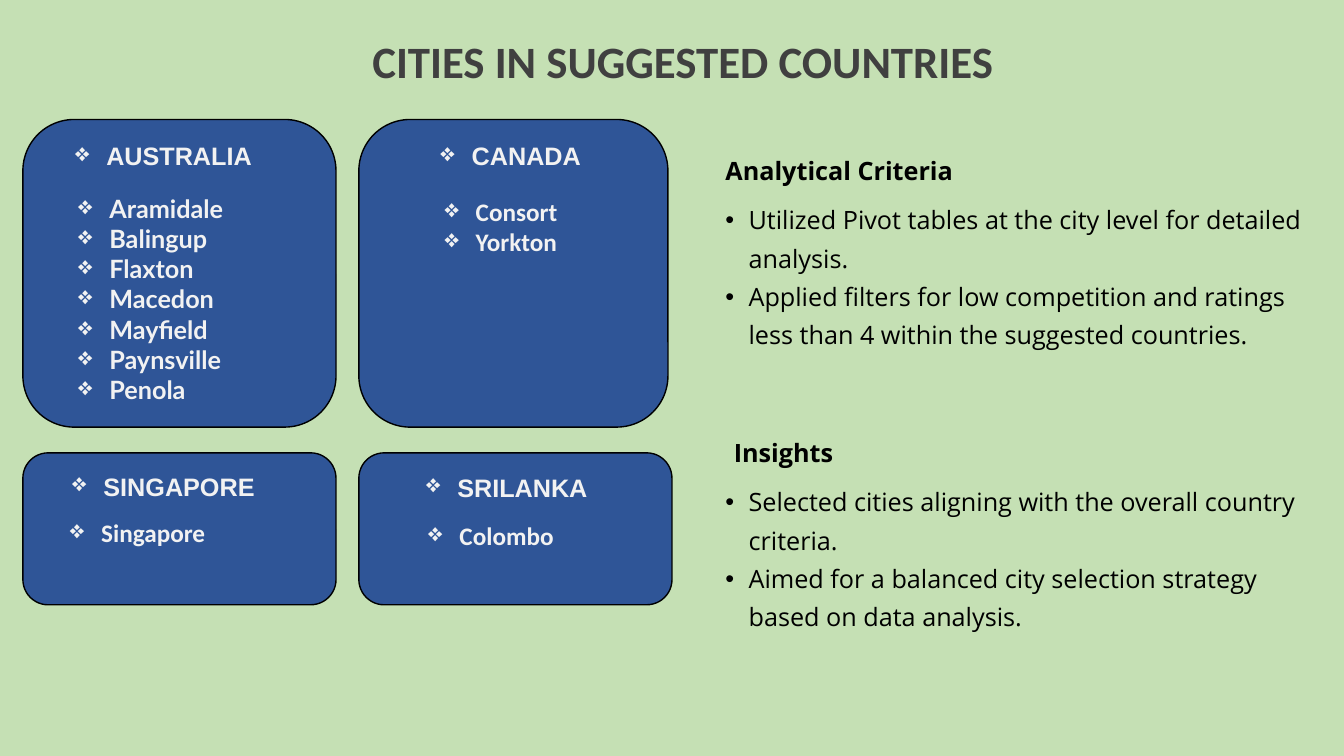
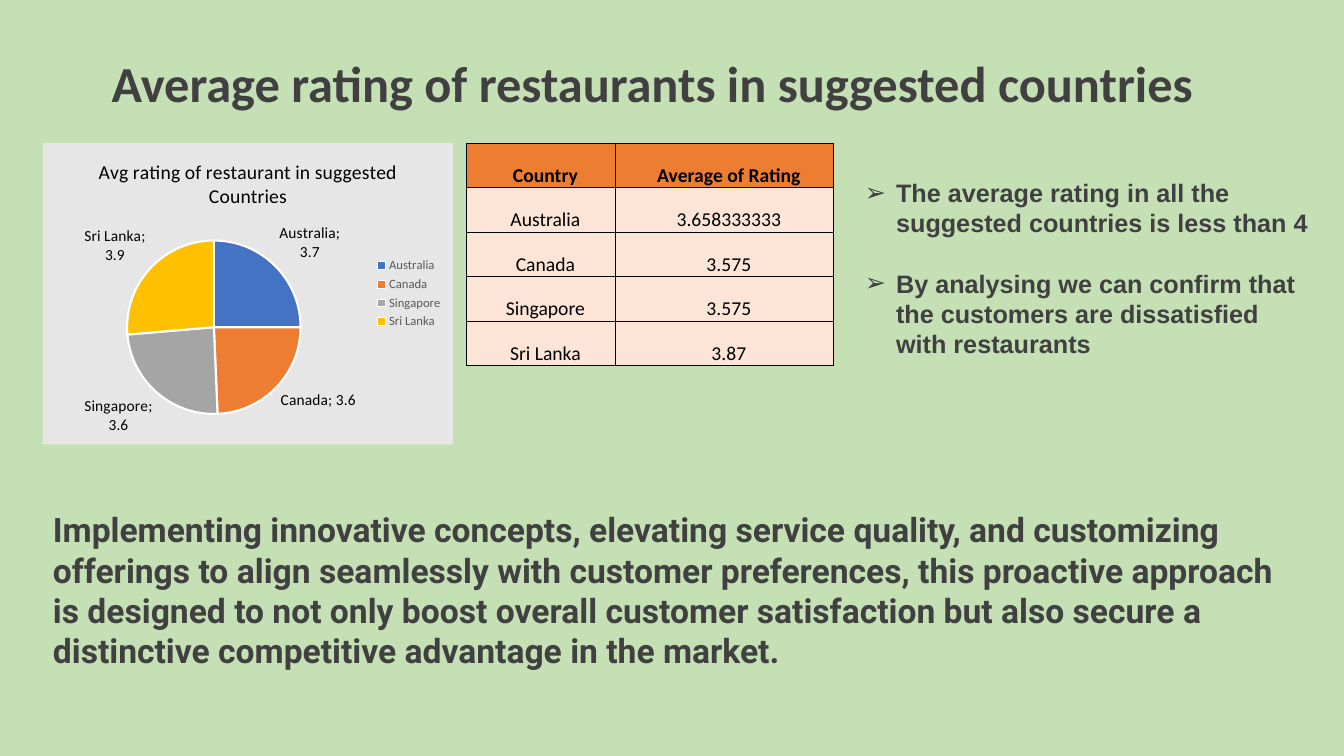
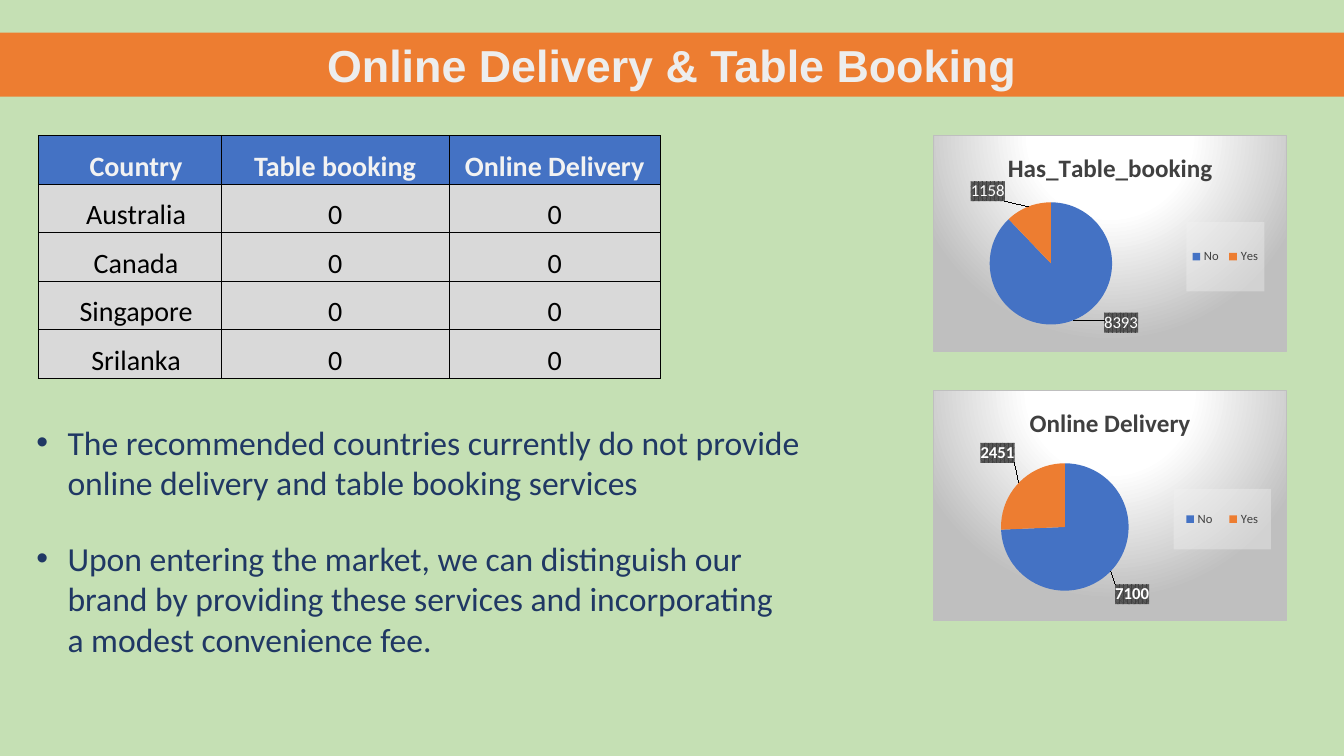
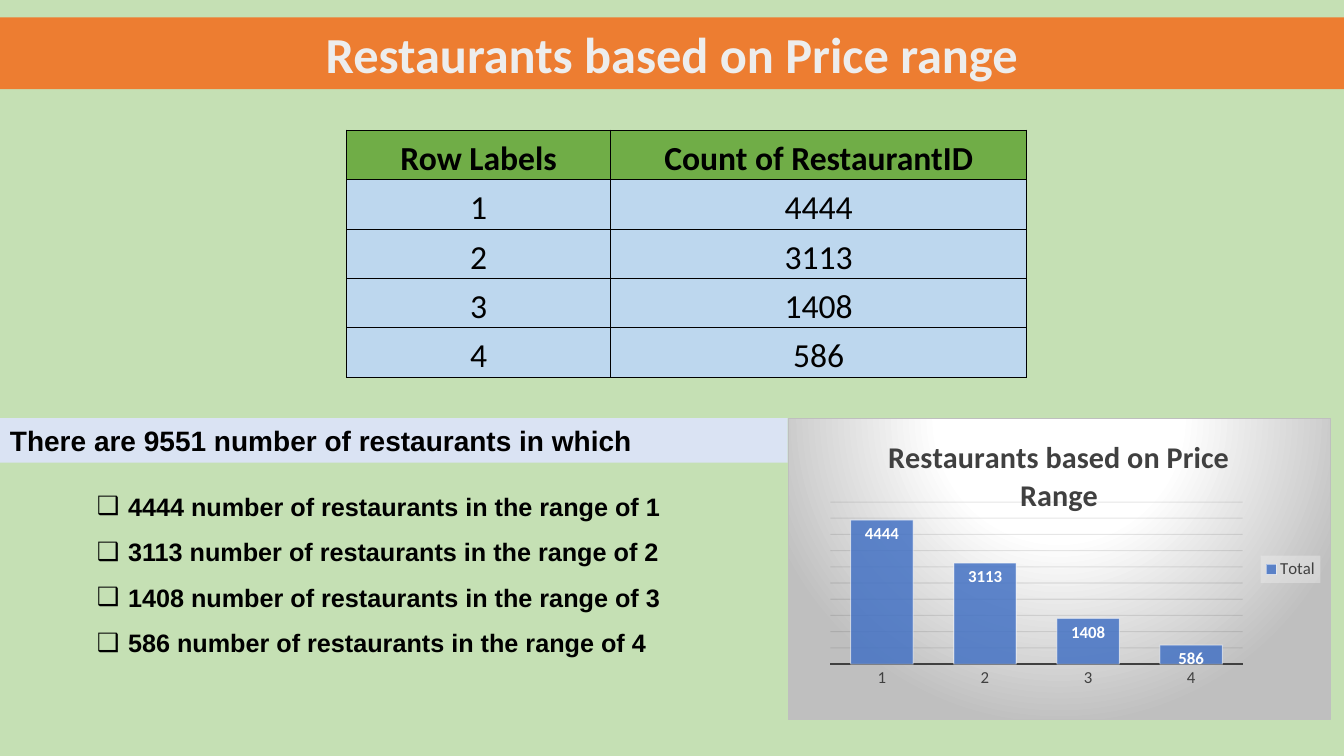
import dataclasses

import pptx
import pptx.chart.data
import pptx.dml.color
import pptx.enum.chart
import pptx.enum.shapes
import pptx.enum.text
import pptx.oxml
import pptx.oxml.ns
import pptx.util


@dataclasses.dataclass(frozen=True)
class Type:
    font: str
    size: float
    colour: str
    bold: bool = False


@dataclasses.dataclass(frozen=True)
class Theme:
    ground: str = "C5E0B4"
    band: str = "ED7D31"
    card: str = "2F5597"
    subband: str = "DAE3F3"
    black: str = "000000"
    dark: str = "404040"
    white: str = "FFFFFF"
    rule: str = "BFBFBF"
    chart_ground: str = "E7E6E6"
    blue: str = "4472C4"
    palette: tuple = ("4472C4", "ED7D31", "A5A5A5", "FFC000")
    plain_title: Type = Type("Calibri", 32, "404040", True)
    band_title: Type = Type("Calibri", 36, "EDEDED", True)
    card_head: Type = Type("Arial", 18, "F2F2F2", True)
    card_list: Type = Type("Calibri", 18, "F2F2F2", True)
    section_head: Type = Type("Open Sans", 18, "000000", True)
    section_list: Type = Type("Open Sans", 18, "000000")
    finding: Type = Type("Arial", 18, "404040", True)
    summary: Type = Type("Roboto", 24, "404040", True)
    advice: Type = Type("Calibri", 24, "203864")
    subhead: Type = Type("Arial", 20, "000000", True)
    count: Type = Type("Arial", 18, "000000", True)
    cell: Type = Type("Calibri", 14, "000000")
    chart: Type = Type("Calibri", 10, "000000")
    chart_title: Type = Type("Calibri", 18, "404040", True)
    chart_label: Type = Type("Calibri", 12, "FFFFFF", True)
    legend: Type = Type("Calibri", 9, "404040")


@dataclasses.dataclass(frozen=True)
class Area:
    left: int
    top: int
    width: int
    height: int

    def share(self, left, top, width, height):
        return Area(
            round(self.left + self.width * left / 100),
            round(self.top + self.height * top / 100),
            round(self.width * width / 100),
            round(self.height * height / 100),
        )

    def frame(self):
        return self.left, self.top, self.width, self.height


THEME = Theme()
SLIDE = Area(0, 0, pptx.util.Inches(13.33), pptx.util.Inches(7.5))
TITLE_CONTENT, TWO_CONTENT, COMPARISON = 1, 3, 4
INDENT = 0.31
restyle = dataclasses.replace


def rgb(colour):
    return pptx.dml.color.RGBColor.from_string(colour)


def xml(text):
    head, tail = text.split(">", 1)
    close = "/" if head.endswith("/") else ""
    head = head.rstrip("/")
    return pptx.oxml.parse_xml(f"{head} {pptx.oxml.ns.nsdecls('a', 'c')}{close}>{tail}")


def solid(colour, alpha=100):
    return (f'<a:solidFill><a:srgbClr val="{colour}"><a:alpha val="{alpha * 1000}"/>'
            "</a:srgbClr></a:solidFill>")


def set_font(font, style):
    font.name = style.font
    font.size = pptx.util.Pt(style.size)
    font.bold = style.bold
    font.color.rgb = rgb(style.colour)


def write(tf, lines, style, bullet=None, indent=INDENT, hang=INDENT, spacing=None, gap=0,
          align=pptx.enum.text.PP_ALIGN.LEFT, anchor=pptx.enum.text.MSO_ANCHOR.TOP):
    tf.text = "\n".join(lines)
    tf.word_wrap = True
    tf.auto_size = pptx.enum.text.MSO_AUTO_SIZE.NONE
    tf.vertical_anchor = anchor
    for i, p in enumerate(tf.paragraphs):
        pPr = p._p.get_or_add_pPr()
        pPr.set("marL", str(pptx.util.Inches(indent if bullet else 0)))
        pPr.set("indent", str(pptx.util.Inches(-hang if bullet else 0)))
        pPr.append(xml(f'<a:buChar char="{bullet}"/>' if bullet else "<a:buNone/>"))
        p.alignment = align
        p.space_before = pptx.util.Pt(gap if i else 0)
        if spacing:
            p.line_spacing = spacing
        for r in p.runs:
            set_font(r.font, style)


def fill_placeholder(ph, area, lines, style, **layout):
    ph.left, ph.top, ph.width, ph.height = area.frame()
    write(ph.text_frame, lines, style, **layout)


def text_box(s, area, lines, style, **layout):
    write(s.shapes.add_textbox(*area.frame()).text_frame, lines, style, **layout)


def panel(s, area, kind, fill, line=None):
    sp = s.shapes.add_shape(kind, *area.frame())
    sp.shadow.inherit = False
    sp.fill.solid()
    sp.fill.fore_color.rgb = rgb(fill)
    if line:
        sp.line.color.rgb = rgb(line)
        sp.line.width = pptx.util.Pt(1)
    else:
        sp.line.fill.background()
    return sp


def new_slide(prs, layout, title, area, style, fill, start=None):
    s = prs.slides.add_slide(prs.slide_layouts[layout])
    ph = s.shapes.title
    ph.fill.solid()
    ph.fill.fore_color.rgb = rgb(fill)
    aligns = pptx.enum.text.PP_ALIGN
    fill_placeholder(ph, area, [title], style,
                     align=aligns.LEFT if start else aligns.CENTER,
                     anchor=pptx.enum.text.MSO_ANCHOR.MIDDLE)
    if start:
        ph.text_frame.margin_left = area.share(0, 0, start, 0).width
    return s, list(s.placeholders)[1:]


def card(s, area, country, cities, head_at, list_at, list_style):
    panel(s, area, pptx.enum.shapes.MSO_SHAPE.ROUNDED_RECTANGLE, THEME.card, THEME.black)
    text_box(s, area.share(*head_at, 70, 13), [country], THEME.card_head, bullet="❖")
    text_box(s, area.share(*list_at, 70, 95 - list_at[1]), cities, list_style, bullet="❖")


def section(head, body, area, title, lines, head_left):
    fill_placeholder(head, area.share(head_left, 0, 90, 25), [title], THEME.section_head,
                     spacing=pptx.util.Pt(38.5))
    fill_placeholder(body, area.share(0, 28.8, 100, 71.2), lines, THEME.section_list,
                     bullet="•", indent=0.46, hang=0.23, spacing=pptx.util.Pt(27.4))


def table(s, area, shares, rows, head_fill, body_fill, head_style, body_style, shifted=()):
    tbl = s.shapes.add_table(len(rows), len(shares), *area.frame()).table
    for column, share in zip(tbl.columns, shares):
        column.width = round(area.width * share / 100)
    for row in tbl.rows:
        row.height = area.height // len(rows)
    for i, row in enumerate(rows):
        for j, value in enumerate(row):
            cell = tbl.cell(i, j)
            tcPr = cell._tc.get_or_add_tcPr()
            for side in "LRTB":
                tcPr.append(xml(f'<a:ln{side} w="6350">{solid(THEME.black)}</a:ln{side}>'))
            cell.fill.solid()
            cell.fill.fore_color.rgb = rgb(body_fill if i else head_fill)
            cell.text = value
            cell.vertical_anchor = pptx.enum.text.MSO_ANCHOR.BOTTOM
            style = body_style if i else head_style
            shift = style.size * 0.45 if j in shifted else 0
            cell.margin_left = pptx.util.Pt(0.72 + shift)
            cell.margin_right = cell.margin_top = pptx.util.Inches(0.01)
            cell.margin_bottom = 0
            p = cell.text_frame.paragraphs[0]
            p.alignment = pptx.enum.text.PP_ALIGN.CENTER
            set_font(p.runs[0].font, style)


def set_layout(parent, index, x, y, w=None, h=None, inner=False, edge=True):
    for old in parent.findall(pptx.oxml.ns.qn("c:layout")):
        parent.remove(old)
    settings = ['<c:layoutTarget val="inner"/>'] if inner else []
    if edge:
        settings += ['<c:xMode val="edge"/>', '<c:yMode val="edge"/>']
    sizes = (("x", x), ("y", y), ("w", w), ("h", h))
    settings += [f'<c:{k} val="{v / 100}"/>' for k, v in sizes if v is not None]
    parent.insert(index, xml(
        f"<c:layout><c:manualLayout>{''.join(settings)}</c:manualLayout></c:layout>"))


def spotlight():
    stops = "".join(f'<a:gs pos="{at * 1000}"><a:srgbClr val="{colour}"/></a:gs>'
                    for at, colour in ((0, THEME.white), (39, THEME.white), (100, THEME.rule)))
    return (f'<c:spPr><a:gradFill><a:gsLst>{stops}</a:gsLst><a:path path="circle">'
            '<a:fillToRect l="50000" t="-80000" r="50000" b="180000"/></a:path></a:gradFill>'
            f'<a:ln w="9525">{solid(THEME.rule)}</a:ln></c:spPr>')


def plain_ground():
    return f"<c:spPr>{solid(THEME.chart_ground)}<a:ln><a:noFill/></a:ln></c:spPr>"


def new_chart(s, area, kind, cats, name, values, title, title_style, ground, plot_at,
              legend_style, legend_at=None):
    data = pptx.chart.data.CategoryChartData()
    data.categories = cats
    data.add_series(name, values)
    chart = s.shapes.add_chart(kind, *area.frame(), data).chart
    set_font(chart.font, THEME.chart)
    chart.has_title = True
    chart.chart_title.text_frame.text = title
    set_font(chart.chart_title.text_frame.paragraphs[0].runs[0].font, title_style)
    chart.has_legend = True
    chart.legend.position = pptx.enum.chart.XL_LEGEND_POSITION.RIGHT
    chart.legend.include_in_layout = False
    set_font(chart.legend.font, legend_style)
    root = chart.element
    root.xpath("c:chart")[0].addnext(xml(ground))
    set_layout(root.xpath("c:chart/c:plotArea")[0], 0, *plot_at, inner=True)
    if legend_at:
        legend = root.xpath("c:chart/c:legend")[0]
        set_layout(legend, 1, *legend_at)
        legend.xpath("c:overlay")[0].addnext(xml(f"<c:spPr>{solid('F2F2F2', 39)}</c:spPr>"))
    return chart


def pie(s, area, cats, values, outline=None, **look):
    chart = new_chart(s, area, pptx.enum.chart.XL_CHART_TYPE.PIE, cats, "Series 1", values,
                      **look)
    chart.plots[0].vary_by_categories = True
    series = chart.plots[0].series[0]
    for i in range(len(cats)):
        fmt = series.points[i].format
        fmt.fill.solid()
        fmt.fill.fore_color.rgb = rgb(THEME.palette[i])
        if outline:
            fmt.line.color.rgb = rgb(outline)
            fmt.line.width = pptx.util.Pt(1.5)
        else:
            fmt.line.fill.background()
    return series


def yes_no_pie(s, area, title, values, plot_at, legend_at, nudges, bold):
    series = pie(s, area, ["No", "Yes"], values, title=title, title_style=THEME.chart_title,
                 ground=spotlight(), plot_at=plot_at, legend_style=THEME.legend,
                 legend_at=legend_at)
    for i, nudge in enumerate(nudges):
        label = series.points[i].data_label
        label.position = pptx.enum.chart.XL_LABEL_POSITION.OUTSIDE_END
        set_font(label.font, restyle(THEME.chart_label, bold=bold))
        dLbl = series._element.xpath(f"c:dLbls/c:dLbl[c:idx/@val='{i}']")[0]
        for old in dLbl.xpath("c:spPr"):
            dLbl.remove(old)
        set_layout(dLbl, 1, *nudge, edge=False)
        dLbl.insert(2, xml(
            '<c:spPr><a:pattFill prst="pct75"><a:fgClr><a:srgbClr val="404040"/></a:fgClr>'
            '<a:bgClr><a:srgbClr val="595959"/></a:bgClr></a:pattFill></c:spPr>'))


def rating_pie(s, area):
    series = pie(s, area, ["Australia", "Canada", "Singapore", "Sri Lanka"],
                 [3.7, 3.6, 3.6, 3.9], outline=THEME.white,
                 title="Avg rating of restaurant in suggested Countries",
                 title_style=restyle(THEME.chart, size=14), ground=plain_ground(),
                 plot_at=(11.8, 32.4, 59.8, 57.5),
                 legend_style=restyle(THEME.legend, colour="595959"))
    labels = series.data_labels
    labels.show_value = labels.show_category_name = True
    labels.number_format = "0.0"
    labels.number_format_is_linked = False
    labels.position = pptx.enum.chart.XL_LABEL_POSITION.OUTSIDE_END
    set_font(labels.font, restyle(THEME.chart, size=11))


def price_columns(s, area, cats, values):
    axis_style = restyle(THEME.legend, size=12)
    chart = new_chart(s, area, pptx.enum.chart.XL_CHART_TYPE.COLUMN_CLUSTERED, cats, "Total",
                      values, "Restaurants based on Price Range",
                      restyle(THEME.chart_title, size=21.6), spotlight(),
                      (7.8, 27.7, 76.1, 53.8), axis_style, (87.2, 45.5, 11, 9))
    plot = chart.plots[0]
    plot.gap_width = 65
    plot.vary_by_categories = False
    series = plot.series[0]
    series.format.fill.solid()
    series.format.fill.fore_color.rgb = rgb(THEME.blue)
    series.format.line.color.rgb = rgb(THEME.white)
    series.format.line.width = pptx.util.Pt(0.75)
    labels = series.data_labels
    labels.show_value = True
    labels.position = pptx.enum.chart.XL_LABEL_POSITION.INSIDE_END
    set_font(labels.font, THEME.chart_label)
    axis = chart.category_axis
    axis.major_tick_mark = pptx.enum.chart.XL_TICK_MARK.NONE
    set_font(axis.tick_labels.font, axis_style)
    axis.format.line.color.rgb = rgb(THEME.dark)
    axis.format.line.width = pptx.util.Pt(1.5)
    scale = chart.value_axis
    scale.visible = False
    scale.minimum_scale, scale.maximum_scale, scale.major_unit = 0, 5000, 500
    grid = scale.major_gridlines.format.line
    grid.color.rgb = rgb("0D0D0D")
    grid.width = pptx.util.Pt(0.75)
    for element, query, alpha in (
            (series._element, "c:spPr/a:solidFill/a:srgbClr", 85),
            (series._element, "c:spPr/a:ln/a:solidFill/a:srgbClr", 50),
            (chart.element, ".//c:majorGridlines//a:srgbClr", 10)):
        element.xpath(query)[0].append(xml(f'<a:alpha val="{alpha * 1000}"/>'))


def cities_slide(prs):
    s, (head1, list1, head2, list2) = new_slide(
        prs, COMPARISON, "CITIES IN SUGGESTED COUNTRIES", SLIDE.share(0, 3.7, 100, 8.5),
        THEME.plain_title, THEME.ground, start=27.7)
    lefts, tops, heights = (1.7, 26.7), (15.8, 59.9), (40.7, 20.1)
    australia = ["Aramidale", "Balingup", "Flaxton", "Macedon", "Mayfield", "Paynsville",
                 "Penola"]
    lato = restyle(THEME.card_list, font="Lato")
    cards = (
        (0, 0, 23.3, "AUSTRALIA", australia, (13.5, 5.2), (14.5, 22.3), lato),
        (1, 0, 23, "CANADA", ["Consort", "Yorkton"], (23.2, 5.2), (24.5, 23.3),
         THEME.card_list),
        (0, 1, 23.3, "SINGAPORE", ["Singapore"], (12.6, 8.6), (11.9, 39.1), THEME.card_list),
        (1, 1, 23.3, "SRILANKA", ["Colombo"], (18.3, 9.3), (19, 41.1), THEME.card_list),
    )
    for column, row, width, *content in cards:
        card(s, SLIDE.share(lefts[column], tops[row], width, heights[row]), *content)
    section(head1, list1, SLIDE.share(51.5, 16.8, 47.9, 29.6), "Analytical Criteria", [
        "Utilized Pivot tables at the city level for detailed analysis.",
        "Applied filters for low competition and ratings less than 4 within the suggested "
        "countries."], 3.6)
    section(head2, list2, SLIDE.share(51.5, 54.1, 46.9, 29.6), "Insights", [
        "Selected cities aligning with the overall country criteria.",
        "Aimed for a balanced city selection strategy based on data analysis."], 5)


def rating_slide(prs):
    s, (findings,) = new_slide(
        prs, TITLE_CONTENT, "Average rating of restaurants in suggested countries",
        SLIDE.share(0, 6.1, 100, 9.5), restyle(THEME.plain_title, size=36), THEME.ground,
        start=8.3)
    table(s, SLIDE.share(34.7, 18.9, 27.3, 29.5), (40.7, 59.3), [
        ("Country", "Average of Rating"), ("Australia", "3.658333333"), ("Canada", "3.575"),
        ("Singapore", "3.575"), ("Sri Lanka", "3.87")],
        THEME.band, "FCE4D6", restyle(THEME.cell, bold=True), THEME.cell, shifted=(0, 1))
    fill_placeholder(findings, SLIDE.share(63.6, 22.8, 34.6, 25.6), [
        "The average rating in all the suggested countries is less than 4",
        "By analysing we can confirm that the customers are dissatisfied with restaurants"],
        THEME.finding, bullet="➢", gap=21.6)
    text_box(s, SLIDE.share(3.2, 66.7, 92.4, 22.9), [
        "Implementing innovative concepts, elevating service quality, and customizing "
        "offerings to align seamlessly with customer preferences, this proactive approach is "
        "designed to not only boost overall customer satisfaction but also secure a "
        "distinctive competitive advantage in the market."], THEME.summary)
    rating_pie(s, SLIDE.share(3.2, 18.9, 30.5, 39.9))


def services_slide(prs):
    s, (finding, advice) = new_slide(
        prs, TWO_CONTENT, "Online Delivery & Table Booking", SLIDE.share(0, 4.3, 100, 8.5),
        restyle(THEME.band_title, font="Arial", size=32), THEME.band)
    countries = ("Australia", "Canada", "Singapore", "Srilanka")
    body = restyle(THEME.cell, size=20)
    table(s, SLIDE.share(2.85, 17.9, 46.3, 32.1), (29.4, 36.6, 34), [
        ("Country", "Table booking", "Online Delivery"), *((c, "0", "0") for c in countries)],
        THEME.blue, "D9D9D9", restyle(body, colour="F2F2F2", bold=True), body, shifted=(0,))
    fill_placeholder(finding, SLIDE.share(1.95, 55.1, 62.9, 12.1), [
        "The recommended countries currently do not provide online delivery and table "
        "booking services"], THEME.advice, bullet="•")
    fill_placeholder(advice, SLIDE.share(1.95, 70.5, 57.8, 17.5), [
        "Upon entering the market, we can distinguish our brand by providing these services "
        "and incorporating a modest convenience fee."], THEME.advice, bullet="•")
    yes_no_pie(s, SLIDE.share(69.45, 17.9, 26.3, 28.7), "Has_Table_booking", (8393, 1158),
               (10.5, 30.8, 45.4, 56.6), (71.6, 40, 22.2, 32), ((8, -6), (-6, 0)), False)
    yes_no_pie(s, SLIDE.share(69.45, 51.6, 26.3, 30.5), "Online Delivery", (7100, 2451),
               (14.1, 31.7, 46.1, 55.5), (68, 42.8, 27.6, 26.4), ((0, 4), (0, -7)), True)


def price_slide(prs):
    s, (ranges,) = new_slide(
        prs, TITLE_CONTENT, "Restaurants based on Price range", SLIDE.share(0, 2.3, 100, 9.5),
        THEME.band_title, THEME.band)
    counts = {"1": 4444, "2": 3113, "3": 1408, "4": 586}
    body = restyle(THEME.cell, size=24)
    table(s, SLIDE.share(25.8, 17.2, 50.6, 32.7), (38.8, 61.2), [
        ("Row Labels", "Count of RestaurantID"), *((k, str(v)) for k, v in counts.items())],
        "70AD47", "BDD7EE", restyle(body, bold=True), body)
    price_columns(s, SLIDE.share(58.6, 55.3, 40.4, 40), list(counts), list(counts.values()))
    band = panel(s, SLIDE.share(0, 55.3, 58.6, 5.9), pptx.enum.shapes.MSO_SHAPE.RECTANGLE,
                 THEME.subband)
    write(band.text_frame, ["There are 9551 number of restaurants in which"], THEME.subhead,
          anchor=pptx.enum.text.MSO_ANCHOR.MIDDLE)
    fill_placeholder(ranges, SLIDE.share(6.45, 62.3, 47.1, 24.8), [
        f"{v} number of restaurants in the range of {k}" for k, v in counts.items()],
        THEME.count, bullet="❑", spacing=1.5)


def main():
    prs = pptx.Presentation()
    prs.slide_width, prs.slide_height = SLIDE.width, SLIDE.height
    ground = prs.slide_master.background.fill
    ground.solid()
    ground.fore_color.rgb = rgb(THEME.ground)
    for build in (cities_slide, rating_slide, services_slide, price_slide):
        build(prs)
    prs.save("out.pptx")


if __name__ == "__main__":
    main()
